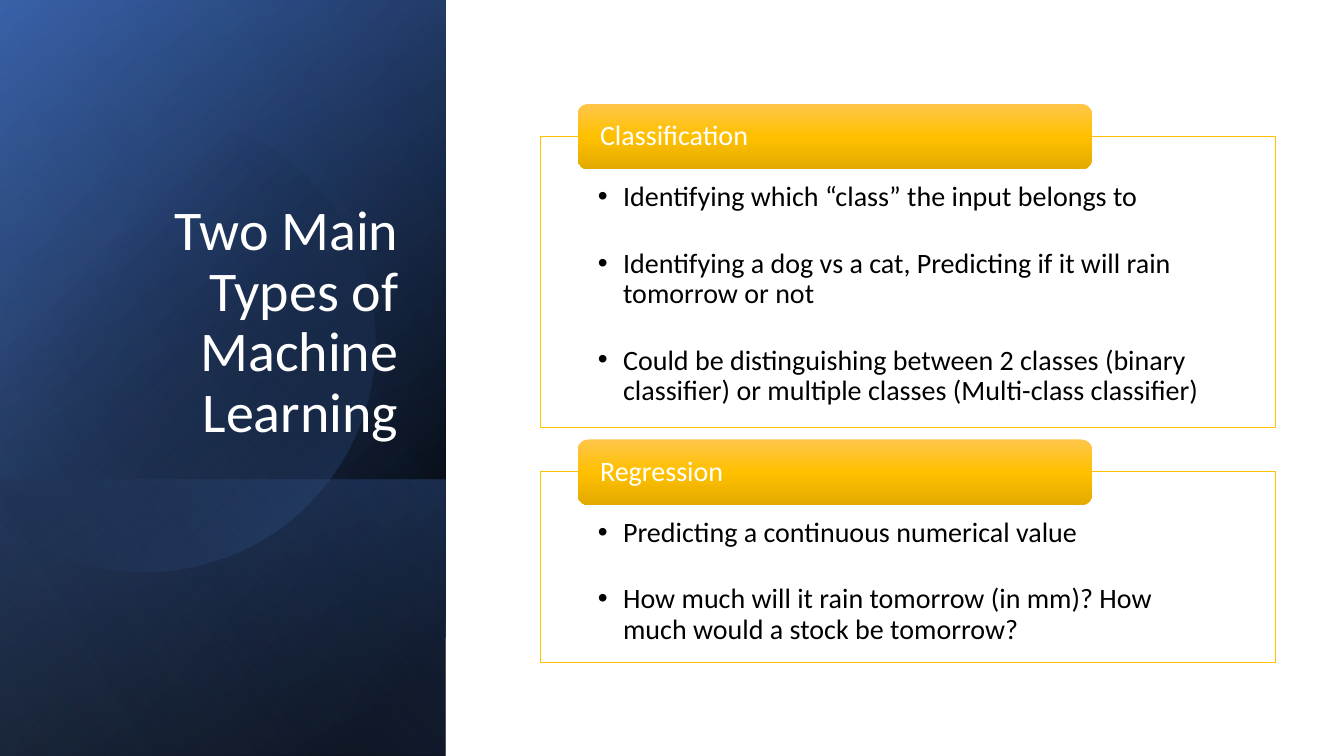
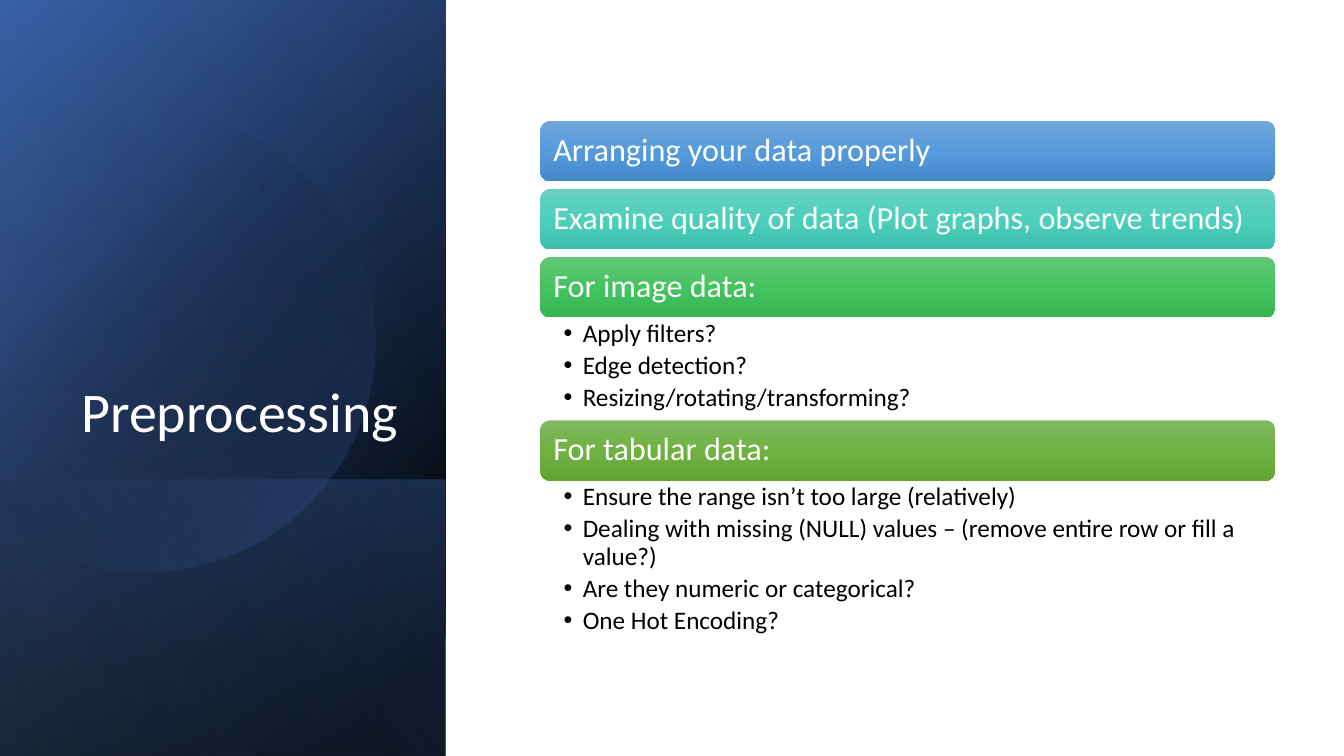
import lxml.etree
import pptx
import pptx.dml.color
import pptx.enum.shapes
import pptx.enum.text
import pptx.oxml.ns
import pptx.util

Inches = pptx.util.Inches
RGB = pptx.dml.color.RGBColor
ANCHOR = pptx.enum.text.MSO_ANCHOR
ALIGN = pptx.enum.text.PP_ALIGN
PRESET = pptx.enum.shapes.MSO_SHAPE
qn = pptx.oxml.ns.qn

BLACK = RGB(0x00, 0x00, 0x00)
WHITE = RGB(0xFF, 0xFF, 0xFF)
NAVY = RGB(0x2F, 0x55, 0x97)
BLUE = RGB(0x44, 0x72, 0xC4)
PALE_BLUE = RGB(0x8F, 0xAA, 0xDC)
GOLD = RGB(0xFF, 0xC0, 0x00)

# Light, middle and dark shade of each glossy bar
GOLD_SHADES = (RGB(0xFF, 0xC6, 0x4B), GOLD, RGB(0xE3, 0xAB, 0x00))
BLUE_SHADES = (RGB(0x71, 0xA6, 0xDB), RGB(0x55, 0x9B, 0xDB), RGB(0x44, 0x8A, 0xCA))
TEAL_SHADES = (RGB(0x6A, 0xD1, 0xC0), RGB(0x4C, 0xD0, 0xBC), RGB(0x3C, 0xC0, 0xAC))
GREEN_SHADES = (RGB(0x64, 0xC6, 0x77), RGB(0x44, 0xC4, 0x60), RGB(0x36, 0xB5, 0x52))
OLIVE_SHADES = (RGB(0x81, 0xB8, 0x61), RGB(0x6F, 0xB2, 0x42), RGB(0x62, 0xA3, 0x36))

FONT = "Calibri"
CONTENT_LEFT, CONTENT_WIDTH = 5.36, 7.29

# Disc with a straight left edge: start, then curves (three points) and lines (one point)
DISC_START = (1.49, 1.1)
DISC_SEGMENTS = [
    [(2.46, 1.12), (3.35, 1.77), (3.63, 2.75)],
    [(3.98, 3.97), (3.28, 5.23), (2.07, 5.58)],
    [(1.31, 5.8), (0.53, 5.61), (-0.03, 5.14)],
    [(-0.15, 5.03)], [(-0.15, 1.75)], [(0, 1.61)],
    [(0.23, 1.42), (0.5, 1.28), (0.8, 1.19)],
    [(1.03, 1.13), (1.26, 1.1), DISC_START],
]


def write_text(frame, lines, size, color, align=ALIGN.LEFT, anchor=ANCHOR.TOP,
               insets=(0.1, 0.05, 0.1, 0.05), after=0, hanging=0):
    """Fill a text frame, one paragraph per line; insets are left, top, right, bottom."""
    frame.auto_size = pptx.enum.text.MSO_AUTO_SIZE.NONE
    frame.word_wrap = True
    frame.vertical_anchor = anchor
    (frame.margin_left, frame.margin_top,
     frame.margin_right, frame.margin_bottom) = map(Inches, insets)
    for number, line in enumerate(lines):
        paragraph = frame.add_paragraph() if number else frame.paragraphs[0]
        paragraph.alignment = align
        paragraph.line_spacing = 0.9
        paragraph.space_before = pptx.util.Pt(0)
        paragraph.space_after = pptx.util.Pt(after)
        if hanging:
            properties = paragraph._p.get_or_add_pPr()
            properties.set("marL", str(Inches(hanging)))
            properties.set("indent", str(-Inches(hanging)))
        run = paragraph.add_run()
        run.text = line
        run.font.name = FONT
        run.font.size = pptx.util.Pt(size)
        run.font.color.rgb = color


def fill_gradient(shape, stops, angle):
    """Stops are (position %, colour, opacity %); the angle runs clockwise."""
    shape.fill.gradient()
    shape.fill.gradient_angle = 360 - angle
    stop_list = shape.element.spPr.find(qn("a:gradFill")).find(qn("a:gsLst"))
    stop_list.clear()
    for position, color, opacity in stops:
        stop = lxml.etree.SubElement(stop_list, qn("a:gs"), pos=str(position * 1000))
        shade = lxml.etree.SubElement(stop, qn("a:srgbClr"), val=str(color))
        if opacity < 100:
            lxml.etree.SubElement(shade, qn("a:alpha"), val=str(opacity * 1000))


def bend_segments(shape, segments):
    """Turn each run of three line points into one Bezier curve."""
    lines = iter(list(shape.element.iter(qn("a:lnTo"))))
    for segment in segments:
        first, *others = [next(lines) for _ in segment]
        if others:
            first.tag = qn("a:cubicBezTo")
            for line in others:
                first.append(line[0])
                line.getparent().remove(line)


class Deck:
    PANEL_WIDTH, PANEL_HEIGHT = 4.42, 7.5

    def __init__(self):
        self.presentation = pptx.Presentation()
        self.presentation.slide_width = Inches(13.33)
        self.presentation.slide_height = Inches(7.5)
        self.slide = None

    def new_slide(self, title):
        layout = self.presentation.slide_layouts.get_by_name("Two Content")
        self.slide = self.presentation.slides.add_slide(layout)
        self.lists = [self.slide.placeholders[1], self.slide.placeholders[2]]
        self.side_panel()
        heading = self.slide.shapes.title
        self.place(heading, 0.64, 1.84, 3.41, 2.62)
        write_text(heading.text_frame, [title], 40, WHITE,
                   align=ALIGN.RIGHT, anchor=ANCHOR.BOTTOM)
        heading.element.getparent().append(heading.element)  # in front of the panel

    def place(self, shape, left, top, width, height):
        shape.left, shape.top = Inches(left), Inches(top)
        shape.width, shape.height = Inches(width), Inches(height)

    def gradient_shape(self, shape, stops, angle):
        shape.shadow.inherit = False
        shape.line.fill.background()
        fill_gradient(shape, stops, angle)
        return shape

    def box(self, preset, left, top, width, height, stops, angle):
        shape = self.slide.shapes.add_shape(
            preset, Inches(left), Inches(top), Inches(width), Inches(height))
        return self.gradient_shape(shape, stops, angle)

    def side_panel(self):
        """Blue panel of layered gradients, with a cut disc."""
        def layer(top, stops, angle):
            self.box(PRESET.RECTANGLE, 0, top, self.PANEL_WIDTH,
                     self.PANEL_HEIGHT - top, stops, angle)

        layer(0, [(8, BLACK, 100), (100, NAVY, 100)], 220)
        layer(0.01, [(0, BLACK, 0), (99, BLUE, 46)], 240)
        layer(4.76, [(2, BLUE, 29), (100, BLACK, 30)], 140)
        self.disc()
        layer(0, [(0, BLACK, 0), (99, PALE_BLUE, 11)], 150)

    def disc(self):
        points = [point for segment in DISC_SEGMENTS for point in segment]
        builder = self.slide.shapes.build_freeform(*map(Inches, DISC_START))
        builder.add_line_segments([(Inches(x), Inches(y)) for x, y in points], close=True)
        shape = builder.convert_to_shape()
        bend_segments(shape, DISC_SEGMENTS)
        self.gradient_shape(shape, [(29, BLACK, 0), (100, BLUE, 43)], 45)

    def bar(self, label, left, top, width, height, shades, size, inset):
        stops = [(position, shade, 100) for position, shade in zip((0, 50, 100), shades)]
        bar = self.box(PRESET.ROUNDED_RECTANGLE, left, top, width, height, stops, 90)
        write_text(bar.text_frame, [label], size, WHITE, anchor=ANCHOR.MIDDLE,
                   insets=(inset, 0, inset, 0))

    def bullets(self, items, top, height, outline=None, **text_format):
        """Use the next body placeholder as a list, framed if an outline is given."""
        body = self.lists.pop(0)
        self.place(body, CONTENT_LEFT, top, CONTENT_WIDTH, height)
        if outline is not None:
            body.fill.solid()
            body.fill.fore_color.rgb = WHITE
            body.line.color.rgb = outline
            body.line.width = pptx.util.Pt(0.5)
        write_text(body.text_frame, items, color=BLACK, **text_format)


def types_slide(deck):
    deck.new_slide("Two Main Types of Machine Learning")
    tab_height, overlap, gap = 0.65, 0.32, 0.12
    top = 1.03
    sections = [
        ("Classification", 2.89, [
            "Identifying which “class” the input belongs to",
            "Identifying a dog vs a cat, Predicting if it will rain tomorrow or not",
            "Could be distinguishing between 2 classes (binary classifier) "
            "or multiple classes (Multi-class classifier)"]),
        ("Regression", 1.89, [
            "Predicting a continuous numerical value",
            "How much will it rain tomorrow (in mm)? "
            "How much would a stock be tomorrow?"]),
    ]
    for label, frame_height, items in sections:
        deck.bullets(items, top + overlap, frame_height, outline=GOLD, size=20,
                     insets=(0.57, 0.46, 0.57, 0.16), after=26, hanging=0.25)
        deck.bar(label, 5.73, top, 5.1, tab_height, GOLD_SHADES, 20, 0.19)
        top += overlap + frame_height + gap


def preprocessing_slide(deck):
    deck.new_slide("Preprocessing")
    bar_height = 0.6
    gap = bar_height / 8
    top = 1.2
    # Label, shades, height of the list below, list items
    steps = [
        ("Arranging your data properly", BLUE_SHADES, 0, []),
        ("Examine quality of data (Plot graphs, observe trends)", TEAL_SHADES, 0, []),
        ("For image data:", GREEN_SHADES, 1.02, [
            "Apply filters?",
            "Edge detection?",
            "Resizing/rotating/transforming?"]),
        ("For tabular data:", OLIVE_SHADES, 1.64, [
            "Ensure the range isn’t too large (relatively)",
            "Dealing with missing (NULL) values – (remove entire row or fill a value?)",
            "Are they numeric or categorical?",
            "One Hot Encoding?"]),
    ]
    for label, shades, list_height, items in steps:
        deck.bar(label, CONTENT_LEFT, top, CONTENT_WIDTH, bar_height, shades, 23, 0.1)
        top += bar_height
        if items:
            deck.bullets(items, top, list_height, size=18,
                         insets=(0.23, 0.03, 0.18, 0.03), after=3.6, hanging=0.19)
        top += list_height or gap


def main():
    deck = Deck()
    types_slide(deck)
    preprocessing_slide(deck)
    deck.presentation.save("out.pptx")


if __name__ == "__main__":
    main()
